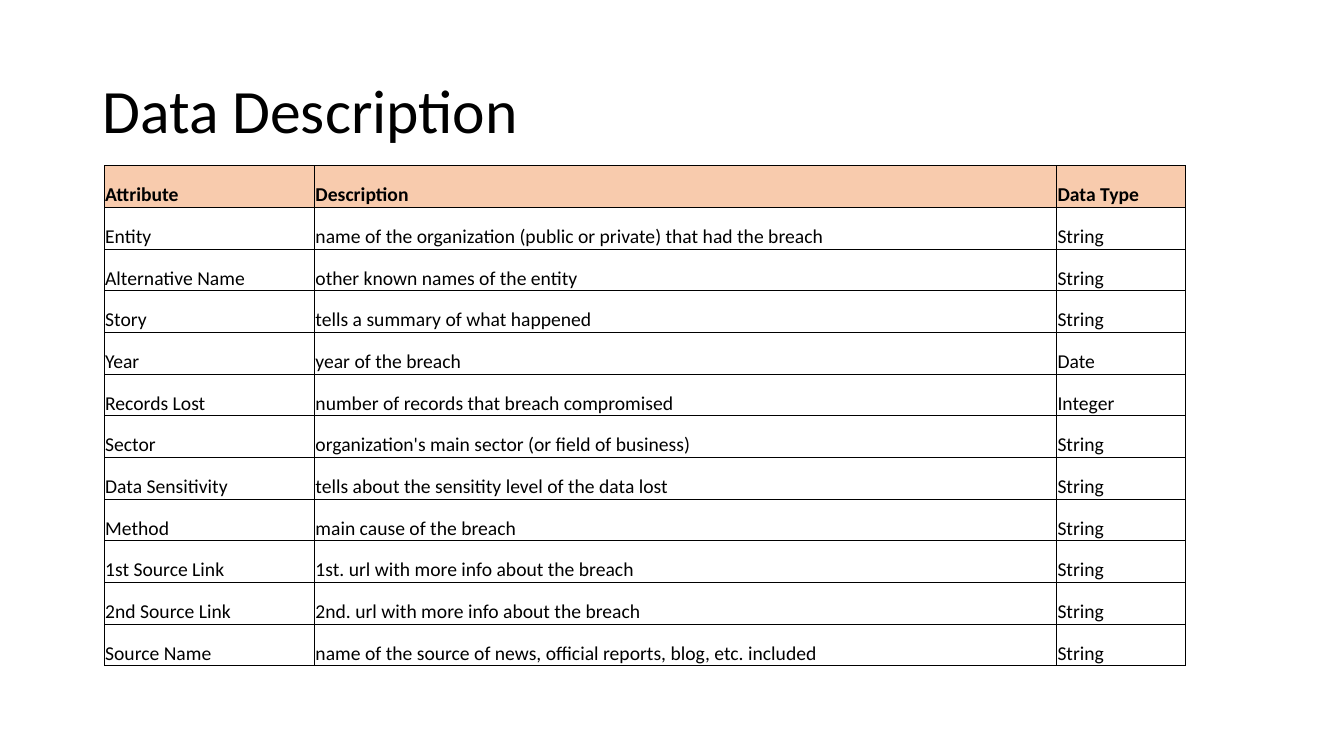
from dataclasses import dataclass

from lxml import etree
from pptx import Presentation
from pptx.dml.color import RGBColor
from pptx.enum import text
from pptx.oxml import ns
from pptx.util import Cm, Pt

TITLE = "Data Description"
HEADINGS = ("Attribute", "Description", "Data Type")
ATTRIBUTES = [
    ("Entity", "name of the organization (public or private) that had the breach", "String"),
    ("Alternative Name", "other known names of the entity", "String"),
    ("Story", "tells a summary of what happened", "String"),
    ("Year", "year of the breach", "Date"),
    ("Records Lost", "number of records that breach compromised", "Integer"),
    ("Sector", "organization's main sector (or field of business)", "String"),
    ("Data Sensitivity", "tells about the sensitity level of the data lost", "String"),
    ("Method", "main cause of the breach", "String"),
    ("1st Source Link", "1st. url with more info about the breach", "String"),
    ("2nd Source Link", "2nd. url with more info about the breach", "String"),
    ("Source Name", "name of the source of news, official reports, blog, etc. included", "String"),
]

COLUMN_WIDTHS = (Cm(5.3), Cm(18.7), Cm(3.25))
ROW_HEIGHT = Cm(1.05)
CELL_FORMAT = {
    "vertical_anchor": text.MSO_ANCHOR.BOTTOM,
    "margin_left": Cm(0.02),
    "margin_right": Cm(0.02),
    "margin_top": Cm(0.02),
    "margin_bottom": 0,
}
TITLE_FORMAT = {"word_wrap": True, "vertical_anchor": text.MSO_ANCHOR.MIDDLE}


@dataclass(frozen=True)
class Theme:
    font: str = "Calibri"
    ink: str = "000000"
    heading_fill: str = "F8CBAD"
    title_size: int = 44
    cell_size: int = 14
    border_width: float = 0.5


THEME = Theme()


def apply_format(target, values):
    for name, value in values.items():
        setattr(target, name, value)


def write(paragraph, words, size, bold=False):
    run = paragraph.add_run()
    run.text = words
    apply_format(run.font, {"name": THEME.font, "size": Pt(size), "bold": bold})
    run.font.color.rgb = RGBColor.from_string(THEME.ink)


def add_borders(cell):
    properties = cell._tc.get_or_add_tcPr()
    for side in ("a:lnL", "a:lnR", "a:lnT", "a:lnB"):
        line = etree.SubElement(properties, ns.qn(side), w=str(Pt(THEME.border_width)))
        fill = etree.SubElement(line, ns.qn("a:solidFill"))
        etree.SubElement(fill, ns.qn("a:srgbClr"), val=THEME.ink)


def fill_cell(cell, words, is_heading):
    apply_format(cell, CELL_FORMAT)
    write(cell.text_frame.paragraphs[0], words, THEME.cell_size, is_heading)
    add_borders(cell)
    if is_heading:
        cell.fill.solid()
        cell.fill.fore_color.rgb = RGBColor.from_string(THEME.heading_fill)
    else:
        cell.fill.background()


def add_title(slide):
    frame = slide.shapes.add_textbox(Cm(2.33), Cm(1.01), Cm(29.21), Cm(3.68)).text_frame
    apply_format(frame, TITLE_FORMAT)
    frame.paragraphs[0].line_spacing = 0.9
    write(frame.paragraphs[0], TITLE, THEME.title_size)


def add_attribute_table(slide):
    rows = [HEADINGS, *ATTRIBUTES]
    table = slide.shapes.add_table(
        len(rows), len(HEADINGS), Cm(2.63), Cm(4.17),
        sum(COLUMN_WIDTHS), ROW_HEIGHT * len(rows),
    ).table
    apply_format(table, {"horz_banding": False, "first_row": False})
    for column, width in zip(table.columns, COLUMN_WIDTHS):
        column.width = width
    for r, row in enumerate(rows):
        table.rows[r].height = ROW_HEIGHT
        for c, words in enumerate(row):
            fill_cell(table.cell(r, c), words, is_heading=r == 0)


def main():
    deck = Presentation()
    apply_format(deck, {"slide_width": Cm(33.87), "slide_height": Cm(19.05)})
    slide = deck.slides.add_slide(deck.slide_layouts[6])
    add_title(slide)
    add_attribute_table(slide)
    deck.save("out.pptx")


if __name__ == "__main__":
    main()
